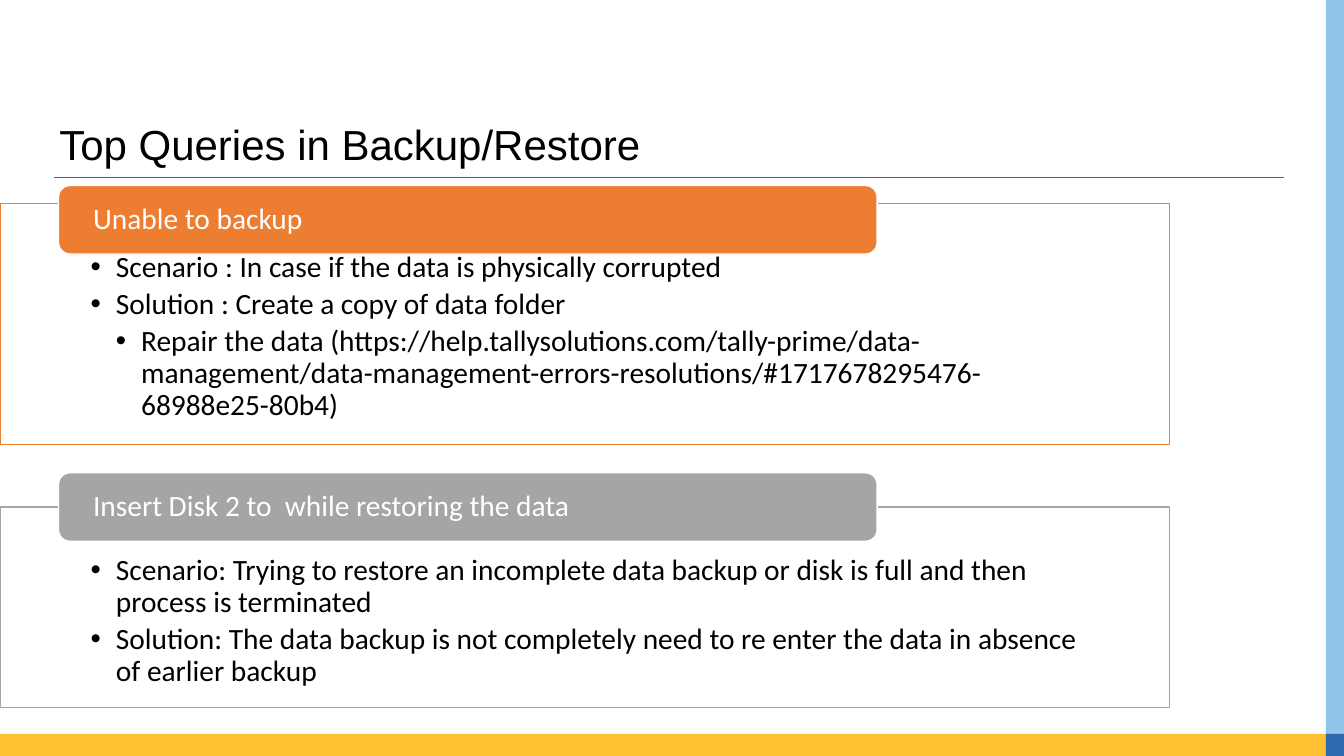
"""Build the slide on top backup and restore queries."""
import dataclasses
import typing

import lxml.etree
import pptx
import pptx.dml.color
import pptx.enum.shapes
import pptx.enum.text
import pptx.oxml.ns
import pptx.util

Inches = pptx.util.Inches
Pt = pptx.util.Pt
RGBColor = pptx.dml.color.RGBColor
Shape = pptx.enum.shapes.MSO_SHAPE
Anchor = pptx.enum.text.MSO_ANCHOR
Align = pptx.enum.text.PP_ALIGN
qn = pptx.oxml.ns.qn

BLACK = RGBColor(0x00, 0x00, 0x00)
WHITE = RGBColor(0xFF, 0xFF, 0xFF)
ORANGE = RGBColor(0xED, 0x7D, 0x31)
GREY = RGBColor(0xA5, 0xA5, 0xA5)
YELLOW = RGBColor(0xFF, 0xC0, 0x31)
SKY = RGBColor(0x90, 0xC4, 0xE9)
BLUE = RGBColor(0x2F, 0x69, 0xB0)

SLIDE_WIDTH, SLIDE_HEIGHT = 13.33, 7.5
STRIP_LEFT, STRIP_TOP = 13.15, 7.28
INDENT = 0.25
TITLE_FONT = {"name": "Arial", "size": Pt(30)}
BODY_FONT = {"name": "Calibri", "size": Pt(21)}


@dataclasses.dataclass(frozen=True)
class Area:
    left: float
    top: float
    width: float
    height: float

    def lengths(self) -> list[int]:
        return [Inches(value) for value in dataclasses.astuple(self)]


@dataclasses.dataclass(frozen=True)
class Strip:
    area: Area
    color: RGBColor


@dataclasses.dataclass(frozen=True)
class Bullet:
    text: str
    level: int = 1


@dataclasses.dataclass(frozen=True)
class Query:
    heading: str
    color: RGBColor
    tab_top: float
    panel_top: float
    panel_height: float
    bullets: tuple[Bullet, ...]


STRIPS = (
    Strip(Area(0, STRIP_TOP, STRIP_LEFT, SLIDE_HEIGHT - STRIP_TOP), YELLOW),
    Strip(Area(STRIP_LEFT, 0, SLIDE_WIDTH - STRIP_LEFT, STRIP_TOP), SKY),
    Strip(Area(STRIP_LEFT, STRIP_TOP, SLIDE_WIDTH - STRIP_LEFT,
               SLIDE_HEIGHT - STRIP_TOP), BLUE),
)

QUERIES = (
    Query("Unable to backup", ORANGE, 1.84, 2.02, 2.39, (
        Bullet("Scenario : In case if the data is physically corrupted"),
        Bullet("Solution : Create a copy of data folder"),
        Bullet("Repair the data (https://help.tallysolutions.com/tally-prime/"
               "data-management/data-management-errors-resolutions/"
               "#1717678295476-68988e25-80b4)", 2),
    )),
    Query("Insert Disk 2 to  while restoring the data", GREY, 4.69, 5.03, 1.99, (
        Bullet("Scenario: Trying to restore an incomplete data backup or disk "
               "is full and then process is terminated"),
        Bullet("Solution: The data backup is not completely need to re enter "
               "the data in absence of earlier backup"),
    )),
)


def apply_format(target: typing.Any, values: dict[str, typing.Any]) -> None:
    for name, value in values.items():
        setattr(target, name, value)


def set_frame(frame: typing.Any, anchor: typing.Any, left: float, top: float,
              right: float, bottom: float) -> None:
    apply_format(frame, {
        "word_wrap": True, "vertical_anchor": anchor,
        "margin_left": Inches(left), "margin_top": Inches(top),
        "margin_right": Inches(right), "margin_bottom": Inches(bottom),
    })


def write(para: typing.Any, text: str, font: dict[str, typing.Any],
          color: RGBColor, after: float = 0) -> None:
    apply_format(para, {"alignment": Align.LEFT, "line_spacing": 0.9,
                        "space_after": Pt(after)})
    span = para.add_run()
    span.text = text
    apply_format(span.font, font)
    span.font.color.rgb = color


def add_bullet(para: typing.Any, level: int) -> None:
    properties = para._p.get_or_add_pPr()
    properties.set("marL", str(Inches(level * INDENT)))
    properties.set("indent", str(-Inches(INDENT)))
    face = lxml.etree.SubElement(properties, qn("a:buFont"))
    face.set("typeface", "Arial")
    mark = lxml.etree.SubElement(properties, qn("a:buChar"))
    mark.set("char", "•")


def add_block(page: typing.Any, kind: typing.Any, area: Area, fill: RGBColor,
              line: RGBColor | None = None) -> typing.Any:
    box = page.shapes.add_shape(kind, *area.lengths())
    box.shadow.inherit = False
    box.fill.solid()
    box.fill.fore_color.rgb = fill
    if line is None:
        box.line.fill.background()
    else:
        box.line.color.rgb = line
        box.line.width = Pt(1)
    return box


def add_title(page: typing.Any) -> None:
    rule = page.shapes.add_connector(
        pptx.enum.shapes.MSO_CONNECTOR.STRAIGHT,
        Inches(0.54), Inches(1.76), Inches(12.73), Inches(1.76))
    rule.line.color.rgb = BLUE
    rule.line.width = Pt(0.82)
    lxml.etree.SubElement(rule._element.spPr, qn("a:effectLst"))
    box = page.shapes.add_textbox(*Area(0.49, 1.15, 12.2, 0.5).lengths())
    set_frame(box.text_frame, Anchor.TOP, 0.1, 0.08, 0.1, 0)
    write(box.text_frame.paragraphs[0], "Top Queries in Backup/Restore",
          TITLE_FONT, BLACK)


def add_query(page: typing.Any, query: Query) -> None:
    panel = add_block(page, Shape.RECTANGLE,
                      Area(0, query.panel_top, 11.6, query.panel_height),
                      WHITE, query.color)
    color = panel._element.spPr.find(qn("a:solidFill"))[0]
    lxml.etree.SubElement(color, qn("a:alpha")).set("val", "90000")
    frame = panel.text_frame
    set_frame(frame, Anchor.TOP, 0.9, 0.48, 0.9, 0.16)
    for index, bullet in enumerate(query.bullets):
        para = frame.add_paragraph() if index else frame.paragraphs[0]
        add_bullet(para, bullet.level)
        write(para, bullet.text, BODY_FONT, BLACK, 3.8)

    tab = add_block(page, Shape.ROUNDED_RECTANGLE,
                    Area(0.58, query.tab_top, 8.12, 0.68), query.color, WHITE)
    tab.adjustments[0] = 0.17
    set_frame(tab.text_frame, Anchor.MIDDLE, 0.31, 0, 0.31, 0)
    write(tab.text_frame.paragraphs[0], query.heading, BODY_FONT, WHITE)


def main() -> None:
    deck = pptx.Presentation()
    deck.slide_width = Inches(SLIDE_WIDTH)
    deck.slide_height = Inches(SLIDE_HEIGHT)
    page = deck.slides.add_slide(deck.slide_layouts[6])
    for strip in STRIPS:
        add_block(page, Shape.RECTANGLE, strip.area, strip.color)
    add_title(page)
    for query in QUERIES:
        add_query(page, query)
    deck.save("out.pptx")


if __name__ == "__main__":
    main()
